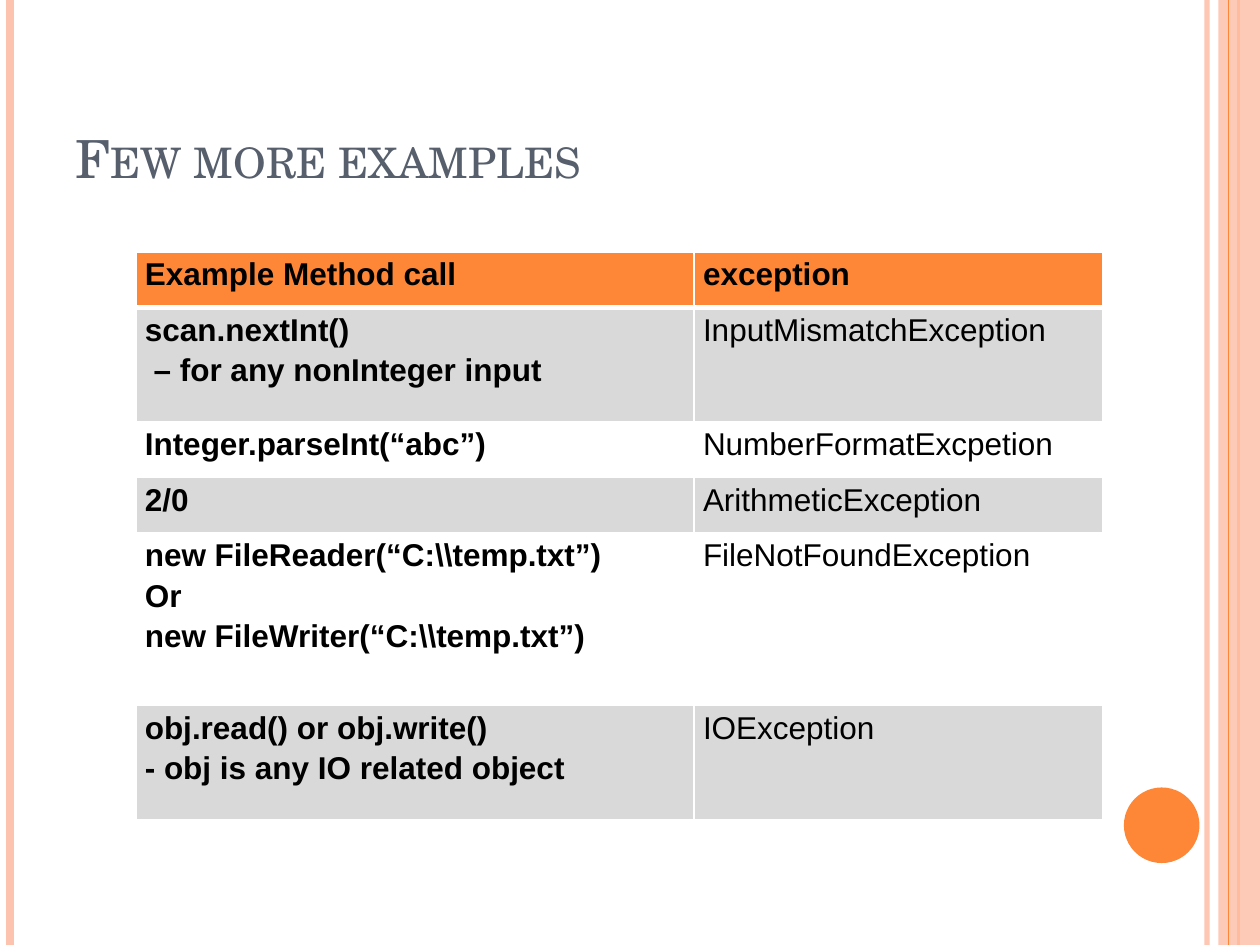
from lxml.etree import SubElement
from pptx import Presentation
from pptx.dml.color import RGBColor
from pptx.enum.shapes import MSO_CONNECTOR, MSO_SHAPE
from pptx.enum.text import MSO_ANCHOR, PP_ALIGN
from pptx.oxml.ns import qn
from pptx.util import Inches, Pt

COLORS = {
    "orange": "FE8637",
    "peach": "FEC3AE",
    "slate": "575F6D",
    "gray": "D9D9D9",
    "white": "FFFFFF",
    "black": "000000",
}


def color(name):
    return RGBColor.from_string(COLORS[name])


def add_stripe(page, x, name, width, alpha=100):
    stripe = page.shapes.add_connector(
        MSO_CONNECTOR.STRAIGHT, Inches(x), 0, Inches(x), Inches(7.5))
    stripe.line.color.rgb = color(name)
    stripe.line.width = Pt(width)
    properties = stripe._element.spPr
    if alpha < 100:
        tint = properties.find(".//" + qn("a:srgbClr"))
        SubElement(tint, qn("a:alpha")).set("val", str(alpha * 1000))
    SubElement(properties, qn("a:effectLst"))


deck = Presentation()
deck.slide_width = Inches(10)
deck.slide_height = Inches(7.5)
page = deck.slides.add_slide(deck.slide_layouts[5])

# Edge stripes, band and disc
add_stripe(page, 9.58, "peach", 3, alpha=93)
add_stripe(page, 0.08, "peach", 4.5)
add_stripe(page, 9.83, "orange", 1.5)

band = page.shapes.add_shape(
    MSO_SHAPE.RECTANGLE, Inches(9.67), 0, Inches(0.33), Inches(7.5))
band.fill.solid()
band.fill.fore_color.rgb = color("peach")
band_tint = band._element.spPr.find(".//" + qn("a:srgbClr"))
SubElement(band_tint, qn("a:alpha")).set("val", "87000")

add_stripe(page, 9.75, "orange", 0.75)

disc = page.shapes.add_shape(
    MSO_SHAPE.OVAL, Inches(8.92), Inches(6.25), Inches(0.6), Inches(0.6))
disc.fill.solid()
disc.fill.fore_color.rgb = color("orange")

for shape in (band, disc):
    shape.line.fill.background()
    shape.shadow.inherit = False

# Title
title = page.shapes.title
title.left, title.top = Inches(0.5), Inches(0.3)
title.width, title.height = Inches(8.17), Inches(1.25)
title.text_frame.vertical_anchor = MSO_ANCHOR.BOTTOM
para = title.text_frame.paragraphs[0]
para.alignment = PP_ALIGN.LEFT
span = para.add_run()
span.text = "Few more examples"
span.font.name = "TeX Gyre Schola"
span.font.size = Pt(30)
span.font.color.rgb = color("slate")
span.font._element.set("cap", "small")

# Table: lines of the call, exception, row height
rows = [
    (["Example Method call"], "exception", 0.44),
    (["scan.nextInt()", " – for any nonInteger input"],
     "InputMismatchException", 0.91),
    (["Integer.parseInt(“abc”)"], "NumberFormatExcpetion", 0.44),
    (["2/0"], "ArithmeticException", 0.44),
    (["new FileReader(“C:\\\\temp.txt”)", "Or",
      "new FileWriter(“C:\\\\temp.txt”)"], "FileNotFoundException", 1.37),
    (["obj.read() or obj.write()", "- obj is any IO related object"],
     "IOException", 0.91),
]
table = page.shapes.add_table(
    len(rows), 2, Inches(1.08), Inches(2), Inches(7.67), Inches(4.5)).table
table.columns[0].width = Inches(4.43)
table.columns[1].width = Inches(3.24)

for row, (call, exception, height) in enumerate(rows):
    table.rows[row].height = Inches(height)
    for column, lines in enumerate((call, [exception])):
        cell = table.cell(row, column)
        cell.margin_left = cell.margin_right = Inches(0.07)
        cell.margin_top = cell.margin_bottom = 0

        # White borders, thicker under the header
        for side in ("L", "R", "T", "B"):
            under_header = (row, side) in ((0, "B"), (1, "T"))
            border = SubElement(cell._tc.get_or_add_tcPr(), qn("a:ln" + side))
            border.set("w", str(Pt(3 if under_header else 1)))
            paint = SubElement(border, qn("a:solidFill"))
            SubElement(paint, qn("a:srgbClr")).set("val", COLORS["white"])

        # Header, then alternating gray and clear rows
        if row == 0 or row % 2:
            cell.fill.solid()
            cell.fill.fore_color.rgb = color("gray" if row else "orange")
        else:
            cell.fill.background()

        para = cell.text_frame.paragraphs[0]
        para.line_spacing = 1.15
        para.space_after = Pt(10)
        for number, line in enumerate(lines):
            if number:
                para.add_line_break()
            span = para.add_run()
            span.text = line
            span.font.name = "Arial"
            span.font.size = Pt(18)
            span.font.bold = row == 0 or column == 0
            span.font.color.rgb = color("black")

deck.save("out.pptx")
